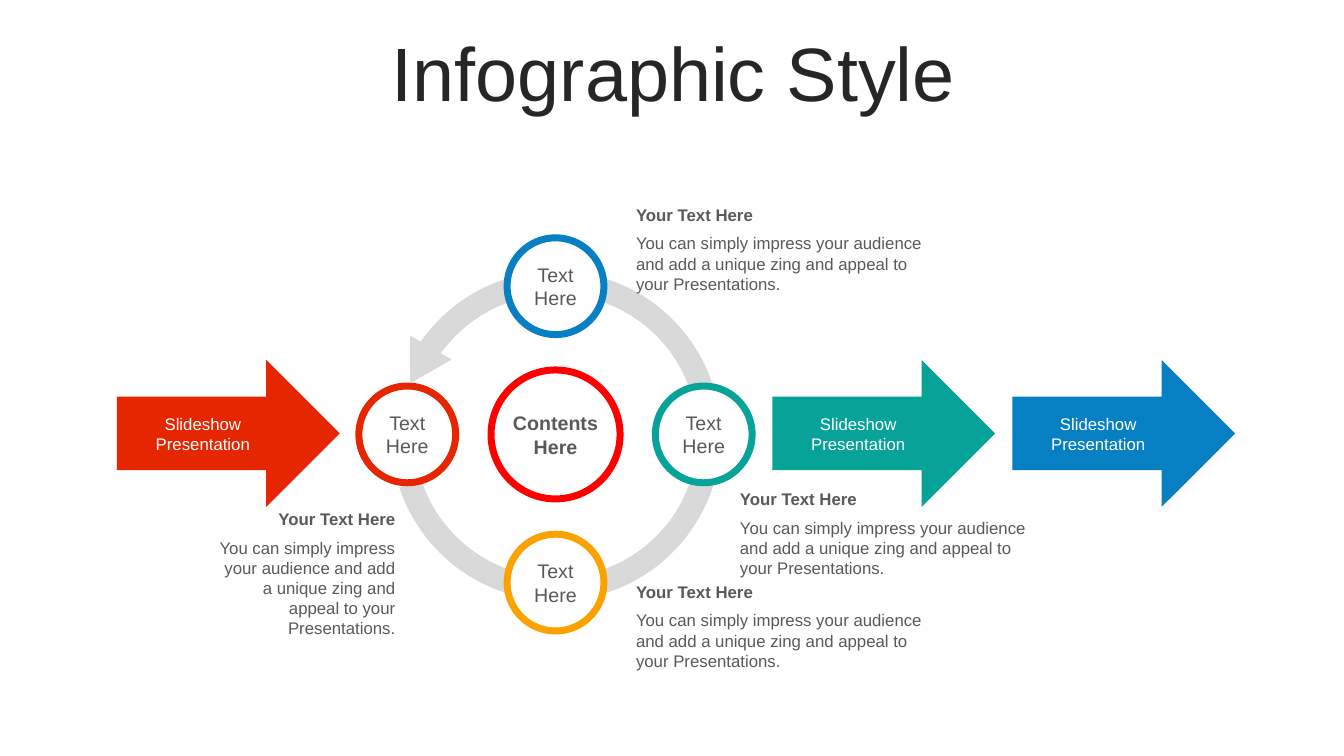
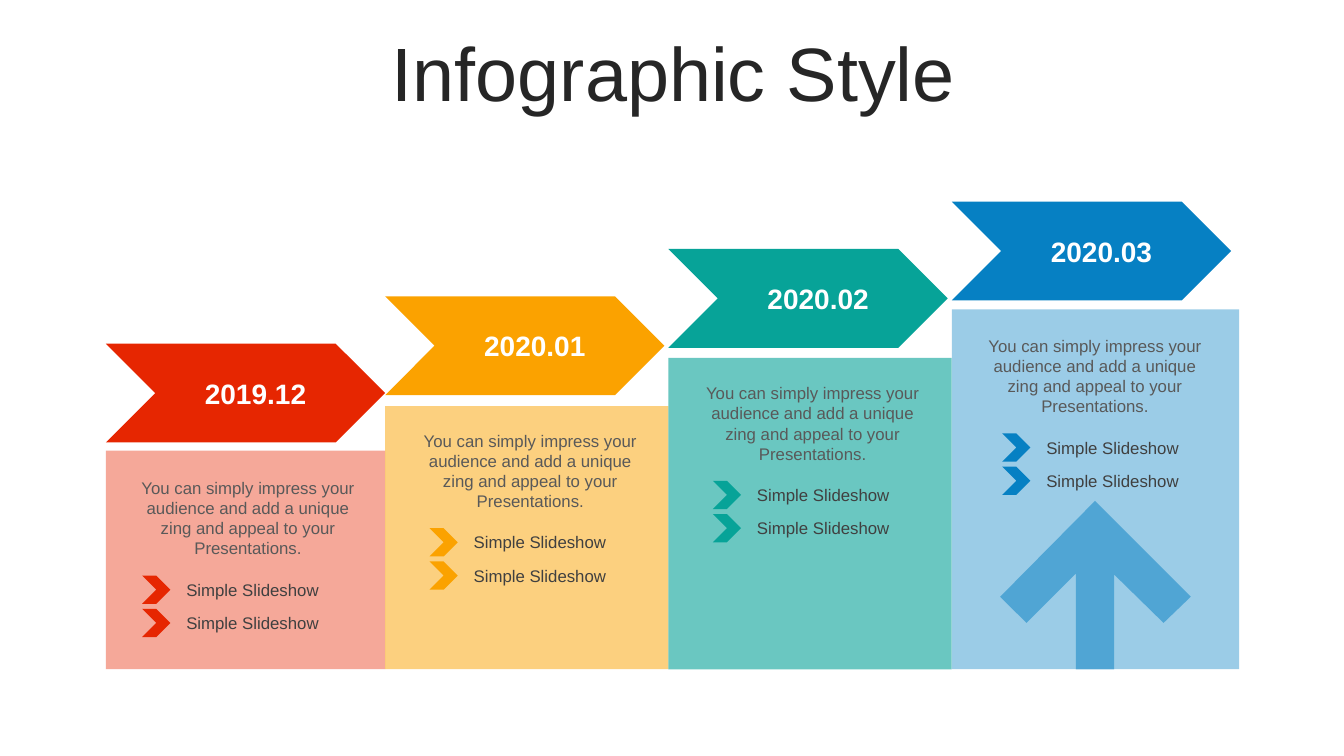
"""Build two infographic slides: a cycle between arrows and a rising timeline."""
from lxml import etree
from pptx import Presentation
from pptx.dml.color import RGBColor
from pptx.enum.shapes import MSO_SHAPE
from pptx.enum.text import MSO_ANCHOR, PP_ALIGN
from pptx.oxml.ns import qn
from pptx.util import Inches, Pt

LEFT, CENTER, RIGHT = PP_ALIGN.LEFT, PP_ALIGN.CENTER, PP_ALIGN.RIGHT
TOP, MIDDLE = MSO_ANCHOR.TOP, MSO_ANCHOR.MIDDLE
ARROW, CHEVRON, OVAL = MSO_SHAPE.RIGHT_ARROW, MSO_SHAPE.CHEVRON, MSO_SHAPE.OVAL
RECTANGLE, TRIANGLE, ARC = MSO_SHAPE.RECTANGLE, MSO_SHAPE.ISOSCELES_TRIANGLE, MSO_SHAPE.BLOCK_ARC

FONT = "Arial"
RED = RGBColor(0xE6, 0x26, 0x01)
ORANGE = RGBColor(0xFB, 0xA2, 0x00)
TEAL = RGBColor(0x07, 0xA3, 0x98)
BLUE = RGBColor(0x06, 0x80, 0xC3)
BRIGHT_RED = RGBColor(0xFF, 0x00, 0x00)
WHITE = RGBColor(0xFF, 0xFF, 0xFF)
RING_GRAY = RGBColor(0xD9, 0xD9, 0xD9)
TITLE_GRAY = RGBColor(0x26, 0x26, 0x26)
BODY_GRAY = RGBColor(0x59, 0x59, 0x59)
ITEM_GRAY = RGBColor(0x40, 0x40, 0x40)

TITLE = "Infographic Style"
BODY = "You can simply impress your audience and add a unique zing and appeal to your Presentations."
HEADING = "Your Text Here"
ARROW_LINES = ["Slideshow", "Presentation"]
ARROWS = [(1.16, RED), (7.66, TEAL), (10.04, BLUE)]

CYCLE_X, CYCLE_Y, CYCLE_RADIUS = 5.51, 4.31, 1.47
CIRCLES = [
    (-1, 0, 0.96, RED, ["Text", "Here"], False),
    (0, 1, 0.96, ORANGE, ["Text", "Here"], False),
    (1, 0, 0.96, TEAL, ["Text", "Here"], False),
    (0, -1, 0.96, BLUE, ["Text", "Here"], False),
    (0, 0, 1.28, BRIGHT_RED, ["Contents", "Here"], True),
]
CALLOUTS = [
    (6.21, 1.98, 3.21, LEFT),
    (7.24, 4.80, 3.21, LEFT),
    (6.21, 5.72, 3.21, LEFT),
    (2.03, 5.00, 1.99, RIGHT),
]

ITEMS = ["Simple Slideshow", "Simple Slideshow"]
STAGES = [
    ("2019.12", RED, 40, 1.05, 4.47, 1.41),
    ("2020.01", ORANGE, 50, 3.82, 4.03, 4.26),
    ("2020.02", TEAL, 60, 6.63, 3.55, 7.07),
    ("2020.03", BLUE, 40, 9.44, 3.07, 9.94),
]
CARDS_RIGHT, CARDS_BOTTOM = 12.29, 6.64
STAGE_RISE, TEXT_STEP, ITEM_STEP = 0.47, 2.8, 0.33
UP_ARROW = [
    (10.86, 4.97), (11.81, 5.92), (11.54, 6.18), (11.05, 5.70), (11.05, 6.64),
    (10.67, 6.64), (10.67, 5.69), (10.18, 6.18), (9.92, 5.92),
]


def write(shape, lines, size, color, align=CENTER, bold=False, anchor=MIDDLE, margins=(0, 0, 0, 0)):
    frame = shape.text_frame
    frame.word_wrap = True
    frame.vertical_anchor = anchor
    frame.margin_left, frame.margin_top, frame.margin_right, frame.margin_bottom = map(Inches, margins)
    for index, line in enumerate(lines):
        paragraph = frame.add_paragraph() if index else frame.paragraphs[0]
        paragraph.text = line
        paragraph.alignment = align
        font = paragraph.font
        font.name, font.size, font.bold = FONT, Pt(size), bold
        font.color.rgb = color
    return frame.paragraphs


def add_text(slide, box, lines, size, color, align=CENTER, anchor=TOP):
    shape = slide.shapes.add_textbox(*map(Inches, box))
    return write(shape, lines, size, color, align, anchor=anchor, margins=(0.1, 0.05, 0.1, 0.05))


def paint(shape, color, opacity=100, outline=None):
    shape.shadow.inherit = False
    shape.fill.solid()
    shape.fill.fore_color.rgb = color
    if opacity < 100:
        tint = shape.fill._xPr.find(qn("a:solidFill"))[0]
        etree.SubElement(tint, qn("a:alpha")).set("val", str(opacity * 1000))
    if outline is None:
        shape.line.fill.background()
    else:
        shape.line.color.rgb = outline
        shape.line.width = Pt(5)
    return shape


def add_shape(slide, kind, box, color, opacity=100, outline=None):
    return paint(slide.shapes.add_shape(kind, *map(Inches, box)), color, opacity, outline)


def add_slide(presentation):
    slide = presentation.slides.add_slide(presentation.slide_layouts[6])
    title = add_text(slide, (0.35, 0.37, 12.66, 0.79), [TITLE], 54, TITLE_GRAY, anchor=MIDDLE)
    title[0].line_spacing = 0.9
    return slide


def build_cycle(slide):
    for left, color in ARROWS:
        arrow = add_shape(slide, ARROW, (left, 3.57, 2.21, 1.46), color)
        write(arrow, ARROW_LINES, 12, WHITE, margins=(0, 0, 0.14, 0))

    ring = add_shape(slide, ARC, (3.88, 2.69, 3.27, 3.27), RING_GRAY)
    for index, value in enumerate((128.35, 97.08, 0.07)):
        ring.adjustments[index] = value
    for column, row, size, color, lines, bold in CIRCLES:
        left = CYCLE_X + column * CYCLE_RADIUS - size / 2
        top = CYCLE_Y + row * CYCLE_RADIUS - size / 2
        circle = add_shape(slide, OVAL, (left, top, size, size), WHITE, outline=color)
        write(circle, lines, 14, BODY_GRAY, bold=bold)
    ring_head = add_shape(slide, TRIANGLE, (3.93, 3.42, 0.48, 0.41), RING_GRAY)
    ring_head.rotation = 210

    for left, top, width, align in CALLOUTS:
        heading, body = add_text(slide, (left, top, width, 0.98), [HEADING, BODY], 12, BODY_GRAY, align)
        heading.font.bold = True
        body.space_before = Pt(6)


def build_timeline(slide):
    edges = [stage[3] for stage in STAGES] + [CARDS_RIGHT]
    for index, (date, color, opacity, left, card_top, item_left) in enumerate(STAGES):
        rise = index * STAGE_RISE
        card = (left, card_top, edges[index + 1] - left, CARDS_BOTTOM - card_top)
        add_shape(slide, RECTANGLE, card, color, opacity)
        banner = add_shape(slide, CHEVRON, (left, 3.41 - rise, 2.77, 0.98), color)
        write(banner, [date], 20, WHITE, bold=True, margins=(0.2, 0, 0, 0))
        add_text(slide, (1.3 + index * TEXT_STEP, 4.69 - rise, 2.32, 1.11), [BODY], 12, BODY_GRAY)
        for row, item in enumerate(ITEMS):
            top = 5.71 - rise + row * ITEM_STEP
            add_shape(slide, CHEVRON, (item_left, top, 0.28, 0.28), color)
            add_text(slide, (item_left + 0.27, top - 0.01, 1.65, 0.3), [item], 12, ITEM_GRAY)

    points = [(Inches(x), Inches(y)) for x, y in UP_ARROW]
    builder = slide.shapes.build_freeform(*points[0])
    builder.add_line_segments(points[1:], close=True)
    paint(builder.convert_to_shape(), BLUE, 50)


def main():
    presentation = Presentation()
    presentation.slide_width, presentation.slide_height = Inches(13.33), Inches(7.5)
    build_cycle(add_slide(presentation))
    build_timeline(add_slide(presentation))
    presentation.save("out.pptx")


if __name__ == "__main__":
    main()
